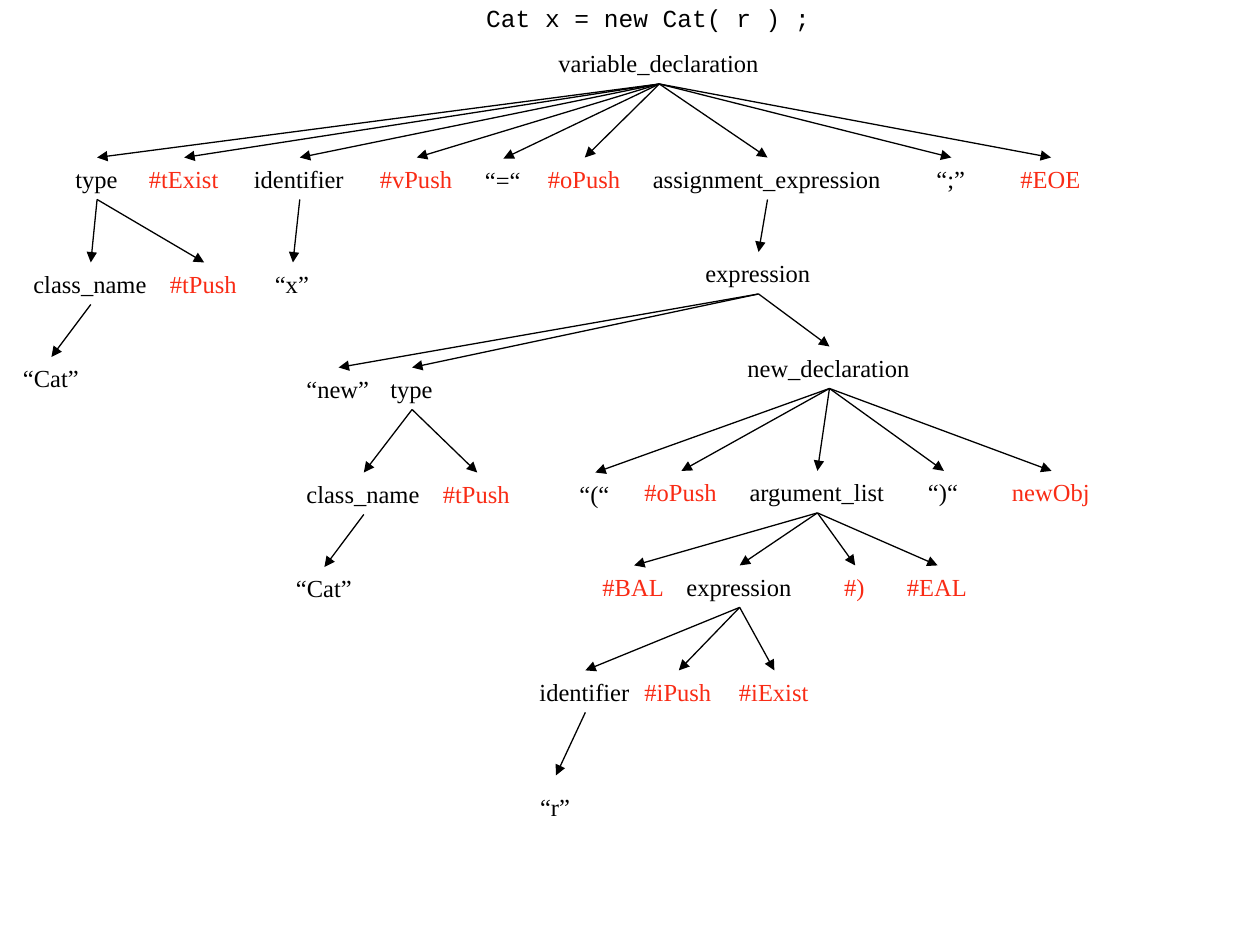
from dataclasses import dataclass

from lxml.etree import SubElement
from pptx import Presentation
from pptx.dml.color import RGBColor
from pptx.enum.shapes import MSO_CONNECTOR
from pptx.enum.text import MSO_AUTO_SIZE, PP_ALIGN
from pptx.oxml.ns import qn
from pptx.util import Inches, Pt


@dataclass(frozen=True)
class Theme:
    ink: RGBColor = RGBColor(0x00, 0x00, 0x00)
    action: RGBColor = RGBColor(0xF9, 0x2B, 0x15)
    tree_font: str = "Times New Roman"
    code_font: str = "Courier New"
    size: Pt = Pt(14)
    line: Pt = Pt(0.75)


theme = Theme()
deck = Presentation()
deck.slide_width, deck.slide_height = Inches(10), Inches(7.5)
page = deck.slides.add_slide(deck.slide_layouts[6])

# The slide is a grid of 120 columns by 90 rows; a label is four rows high.
COLUMN = deck.slide_width / 120
ROW = deck.slide_height / 90
LABEL_ROWS = 4


def add_label(text, *, column, row, width, color=theme.ink,
              font=theme.tree_font, align=PP_ALIGN.LEFT, wrap=False):
    """Place one line of text; column, row and width are in grid units."""
    box = page.shapes.add_textbox(round(column * COLUMN), round(row * ROW),
                                  round(width * COLUMN), round(LABEL_ROWS * ROW))
    frame = box.text_frame
    frame.word_wrap = wrap
    frame.auto_size = MSO_AUTO_SIZE.SHAPE_TO_FIT_TEXT
    para = frame.paragraphs[0]
    para.alignment = align
    span = para.add_run()
    span.text = text
    span.font.name, span.font.size = font, theme.size
    span.font.color.rgb = color


def add_arrow(start, end):
    """Draw an arrow between two (column, row) points."""
    arrow = page.shapes.add_connector(
        MSO_CONNECTOR.STRAIGHT,
        round(start[0] * COLUMN), round(start[1] * ROW),
        round(end[0] * COLUMN), round(end[1] * ROW))
    arrow.line.color.rgb = theme.ink
    arrow.line.width = theme.line
    SubElement(arrow.line._get_or_add_ln(), qn("a:tailEnd"), type="triangle")
    SubElement(arrow._element.spPr, qn("a:effectLst"))


# Each node: text, column, row, width, children
arguments = ("argument_list", 70.2, 44.85, 15.3, [
    ("#BAL", 56.2, 53.85, 8.4, []),
    ("expression", 64.2, 53.85, 12.5, [
        ("identifier", 50.2, 63.85, 11.1, [("“r”", 50.25, 74.85, 5.4, [])]),
        ("#iPush", 60.2, 63.85, 8.9, []),
        ("#iExist", 69.2, 63.85, 9.1, []),
    ]),
    ("#)", 79.2, 53.85, 4.5, []),
    ("#EAL", 85.2, 53.85, 8.2, []),
])
new_expression = ("expression", 66, 24, 12.5, [
    ("“new”", 28, 35, 8.5, []),
    ("type", 36, 35, 6.5, [
        ("class_name", 28, 45, 13.3, [("“Cat”", 27, 54, 7.8, [])]),
        ("#tPush", 41, 45, 8.9, []),
    ]),
    ("new_declaration", 70, 33, 18, [
        ("“(“", 54, 45, 5.4, []),
        ("#oPush", 60.2, 44.85, 9.4, []),
        arguments,
        ("“)“", 87.2, 44.85, 5.4, []),
        ("newObj", 95.2, 44.85, 9.9, []),
    ]),
])
declaration = ("variable_declaration", 52, 4, 21.6, [
    ("type", 6, 15, 6.5, [
        ("class_name", 2, 25, 13.3, [("“Cat”", 1, 34, 7.8, [])]),
        ("#tPush", 15, 25, 8.9, []),
    ]),
    ("#tExist", 13, 15, 9.1, []),
    ("identifier", 23, 15, 11.1, [("“x”", 25, 25, 5.8, [])]),
    ("#vPush", 35, 15, 9.4, []),
    ("“=“", 45, 15.1, 5.9, []),
    ("#oPush", 51, 15, 9.4, []),
    ("assignment_expression", 61, 15, 24.2, [new_expression]),
    ("“;”", 88, 15, 5.2, []),
    ("#EOE", 96, 15, 8.2, []),
])
ARROW_GAPS = {"“r”": 1}  # rows left between arrowhead and label

add_label("Cat x = new Cat( r ) ;", column=3.5, row=-0.3, width=116.5,
          font=theme.code_font, align=PP_ALIGN.CENTER, wrap=True)

pending = [declaration]
while pending:
    text, column, row, width, children = pending.pop(0)
    is_action = text.startswith("#") or text == "newObj"
    add_label(text, column=column, row=row, width=width,
              color=theme.action if is_action else theme.ink)
    for child_text, child_column, child_row, child_width, _ in children:
        add_arrow((column + width / 2, row + LABEL_ROWS),
                  (child_column + child_width / 2,
                   child_row - ARROW_GAPS.get(child_text, 0)))
    pending.extend(children)

deck.save("out.pptx")
